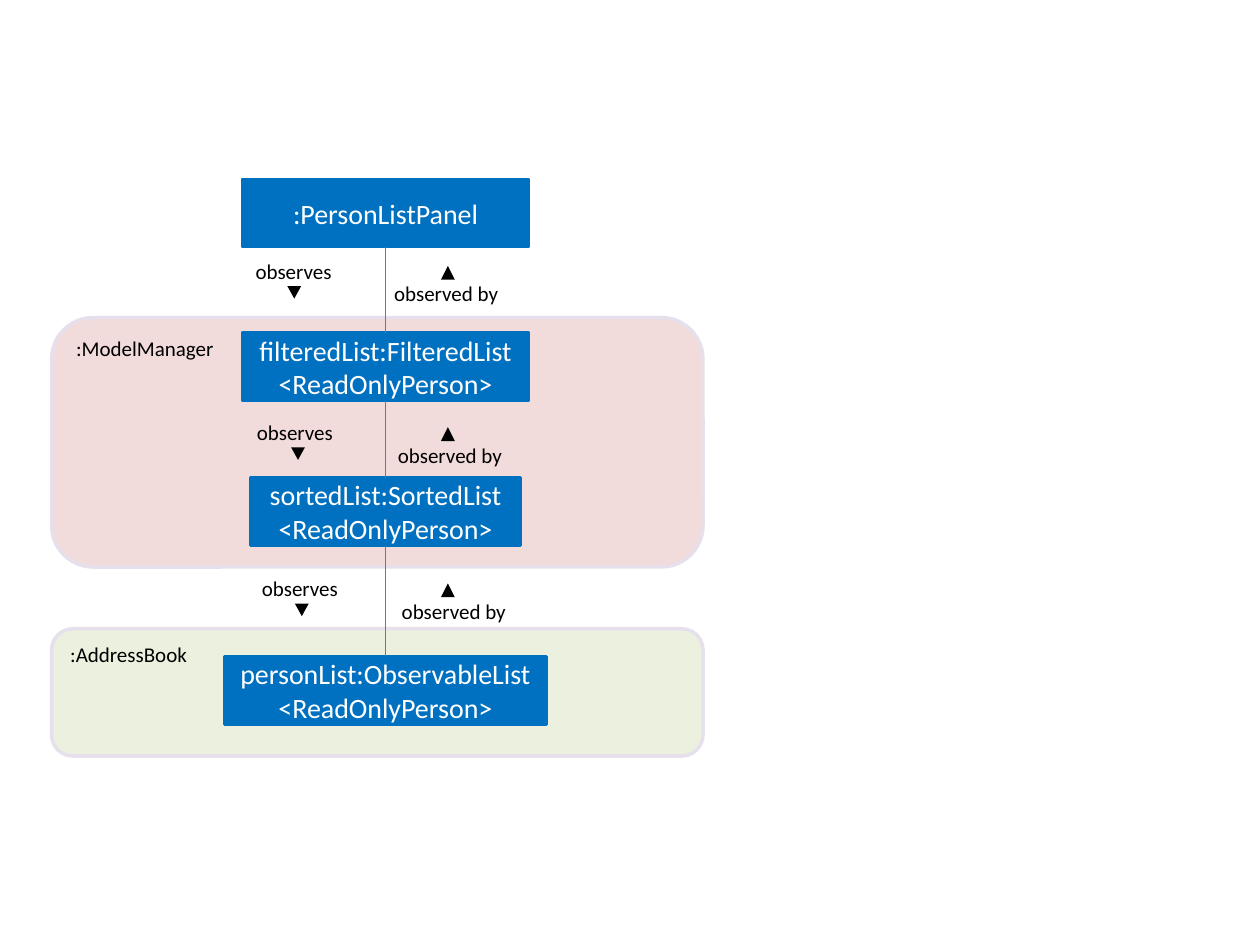
from dataclasses import dataclass
from itertools import pairwise

from lxml import etree
from pptx import Presentation
from pptx.dml.color import RGBColor
from pptx.enum.shapes import MSO_CONNECTOR, MSO_SHAPE
from pptx.enum.text import MSO_ANCHOR, MSO_AUTO_SIZE, PP_ALIGN
from pptx.oxml.ns import qn
from pptx.util import Inches, Pt

RECTANGLE = MSO_SHAPE.RECTANGLE
ROUNDED = MSO_SHAPE.ROUNDED_RECTANGLE
TRIANGLE = MSO_SHAPE.ISOSCELES_TRIANGLE
STRAIGHT = MSO_CONNECTOR.STRAIGHT
TOP, MIDDLE = MSO_ANCHOR.TOP, MSO_ANCHOR.MIDDLE
LEFT, CENTER = PP_ALIGN.LEFT, PP_ALIGN.CENTER
FIT_TEXT = MSO_AUTO_SIZE.SHAPE_TO_FIT_TEXT
BLANK_LAYOUT = 6


@dataclass(frozen=True)
class Theme:
    font: str = "Calibri"
    label_size: int = 12
    object_size: int = 16
    ink: str = "000000"
    object_text: str = "FFFFFF"
    object_fill: str = "0070C0"
    link: str = "4B7EBC"
    group_border: str = "E6E0EC"
    model_fill: str = "F2DCDB"
    storage_fill: str = "EBF1DE"


class ObjectDiagram:
    def __init__(self, slide, theme):
        self.slide = slide
        self.theme = theme

    def set_text(self, shape, text, size, color, alignment=LEFT):
        paragraph = shape.text_frame.paragraphs[0]
        paragraph.text = text
        paragraph.alignment = alignment
        paragraph.font.name = self.theme.font
        paragraph.font.size = Pt(size)
        paragraph.font.color.rgb = RGBColor.from_string(color)

    def shape(self, kind, left, top, width, height, fill, border=None, weight=0):
        shape = self.slide.shapes.add_shape(
            kind, Inches(left), Inches(top), Inches(width), Inches(height))
        shape.shadow.inherit = False
        shape.fill.solid()
        shape.fill.fore_color.rgb = RGBColor.from_string(fill)
        if border:
            shape.line.color.rgb = RGBColor.from_string(border)
            shape.line.width = Pt(weight)
        else:
            shape.line.fill.background()
        return shape

    def group(self, name, top, height, fill):
        shape = self.shape(ROUNDED, 0.41, top, 5.17, height, fill,
                           self.theme.group_border, 2)
        shape.text_frame.vertical_anchor = TOP
        self.set_text(shape, name, self.theme.label_size, self.theme.ink)

    def object_box(self, name, center, top, width, height):
        color = self.theme.object_fill
        shape = self.shape(RECTANGLE, center - width / 2, top, width, height,
                           color, color, 1.5)
        shape.text_frame.vertical_anchor = MIDDLE
        shape.text_frame.word_wrap = True
        self.set_text(shape, name, self.theme.object_size,
                      self.theme.object_text, CENTER)

    def link(self, center, top, bottom):
        connector = self.slide.shapes.add_connector(
            STRAIGHT, Inches(center), Inches(top), Inches(center), Inches(bottom))
        connector.line.color.rgb = RGBColor.from_string(self.theme.link)
        connector.line.width = Pt(0.75)
        etree.SubElement(connector._element.spPr, qn("a:effectLst"))

    def label(self, text, left, top, width):
        box = self.slide.shapes.add_textbox(
            Inches(left), Inches(top), Inches(width), Inches(0.3))
        box.text_frame.word_wrap = False
        box.text_frame.auto_size = FIT_TEXT
        self.set_text(box, text, self.theme.label_size, self.theme.ink)

    def pointer(self, left, top, height, rotation=0):
        shape = self.shape(TRIANGLE, left, top, 0.11, height, self.theme.ink)
        shape.rotation = rotation

    def observation(self, top, observes_left, observed_left, down_left):
        self.label("observes", observes_left, top, 0.81)
        self.pointer(down_left, top + 0.27, 0.1, 180)
        self.label("observed by", observed_left, top + 0.18, 1.04)
        self.pointer(3.5, top + 0.11, 0.11)


def main():
    presentation = Presentation()
    presentation.slide_width = Inches(10)
    presentation.slide_height = Inches(7.5)
    slide = presentation.slides.add_slide(presentation.slide_layouts[BLANK_LAYOUT])
    theme = Theme()
    diagram = ObjectDiagram(slide, theme)

    diagram.group(":AddressBook", 4.99, 1.01, theme.storage_fill)
    diagram.group(":ModelManager", 2.52, 1.98, theme.model_fill)

    center, box_height = 3.06, 0.54
    objects = [
        (":PersonListPanel", 1.42, 2.28),
        ("filteredList:FilteredList\v<ReadOnlyPerson>", 2.64, 2.28),
        ("sortedList:SortedList\v<ReadOnlyPerson>", 3.79, 2.14),
        ("personList:ObservableList\v<ReadOnlyPerson>", 5.21, 2.56),
    ]
    for name, top, width in objects:
        diagram.object_box(name, center, top, width, box_height)
    for (_, upper, _), (_, lower, _) in pairwise(objects):
        diagram.link(center, upper + box_height, lower)

    observations = [
        (2.0, 1.93, 3.03, 2.28),
        (3.28, 1.94, 3.06, 2.31),
        (4.52, 1.98, 3.09, 2.34),
    ]
    for observation in observations:
        diagram.observation(*observation)

    presentation.save("out.pptx")


if __name__ == "__main__":
    main()
